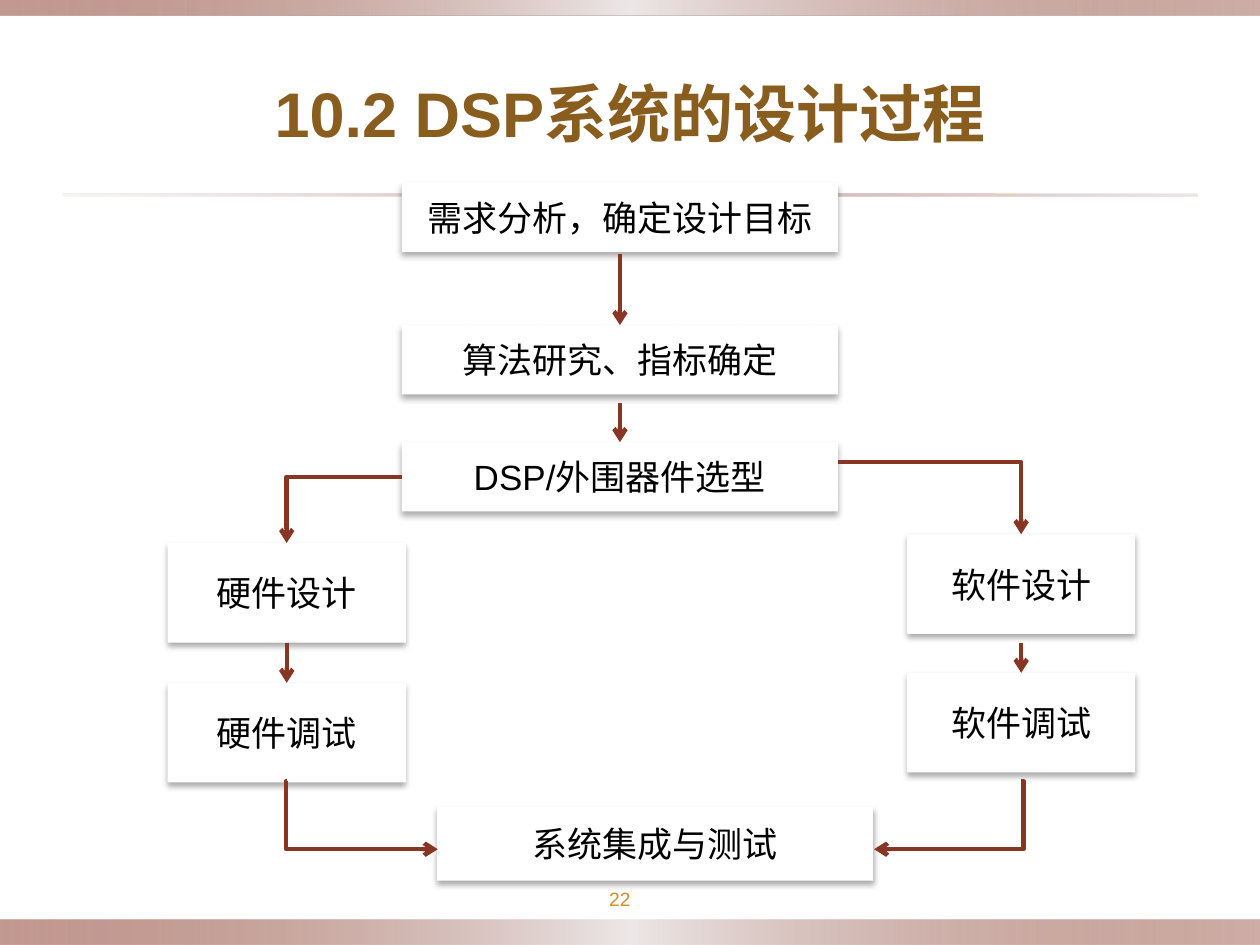
from lxml import etree
from pptx import Presentation
from pptx.dml.color import RGBColor
from pptx.enum.shapes import MSO_CONNECTOR, MSO_SHAPE
from pptx.enum.text import MSO_ANCHOR, PP_ALIGN
from pptx.oxml.ns import qn
from pptx.util import Pt

RECTANGLE = MSO_SHAPE.RECTANGLE
STRAIGHT, ELBOW = MSO_CONNECTOR.STRAIGHT, MSO_CONNECTOR.ELBOW
CENTER, MIDDLE = PP_ALIGN.CENTER, MSO_ANCHOR.MIDDLE
TOP, LEFT, BOTTOM = 0, 1, 2
COLORS = {
    "brick": "873624", "mist": "EDE8E8", "rose": "D9CECD", "white": "FFFFFF",
    "black": "000000", "title": "895D1D", "number": "D08D2C",
}


def add_child(parent, tag, **attributes):
    child = etree.SubElement(parent, qn(tag))
    for name, value in attributes.items():
        child.set(name, str(value))
    return child


def write_text(shape, text, size, color, bold=False):
    frame = shape.text_frame
    frame.word_wrap = True
    frame.vertical_anchor = MIDDLE
    paragraph = frame.paragraphs[0]
    paragraph.text = text
    paragraph.alignment = CENTER
    font = paragraph.runs[0].font
    for name, value in {"name": "Arial", "size": Pt(size), "bold": bold}.items():
        setattr(font, name, value)
    font.color.rgb = RGBColor.from_string(COLORS[color])


presentation = Presentation()
presentation.slide_width, presentation.slide_height = Pt(720), Pt(540)
slide = presentation.slides.add_slide(presentation.slide_layouts[6])
shapes = slide.shapes

band_stops = [(0, "brick", 50), (50, "mist", 100), (100, "brick", 40)]
rule_stops = [(0, "rose", 20), (50, "brick", 40), (100, "rose", 50)]
bands = [
    (0, 525.6, 720, 14.4, band_stops),
    (0, 0, 720, 8.64, band_stops),
    (36, 110.9, 648, 1.44, rule_stops),
]
for left, top, width, height, stops in bands:
    band = shapes.add_shape(RECTANGLE, Pt(left), Pt(top), Pt(width), Pt(height))
    band.shadow.inherit = False
    band.line.fill.background()
    band.fill.gradient()
    band.fill.gradient_angle = 0
    stop_list = next(band._element.iter(qn("a:gsLst")))
    for stop in list(stop_list):
        stop_list.remove(stop)
    for position, color, opacity in stops:
        stop = add_child(stop_list, "a:gs", pos=position * 1000)
        tint = add_child(stop, "a:srgbClr", val=COLORS[color])
        add_child(tint, "a:alpha", val=opacity * 1000)

page_number = shapes.add_textbox(Pt(318.2), Pt(502.6), Pt(72), Pt(22.3))
for side in ("left", "top", "right", "bottom"):
    setattr(page_number.text_frame, f"margin_{side}", Pt(3.6))
write_text(page_number, "22", 11, "number")

title = shapes.add_textbox(Pt(36), Pt(37.4), Pt(648), Pt(53.3))
write_text(title, "10.2 DSP系统的设计过程", 36, "title", True)

steps = [
    ("goals", "需求分析，确定设计目标", 229.7, 104.4, 249.1, 39.6),
    ("algorithm", "算法研究、指标确定", 229.7, 185.8, 249.1, 39.6),
    ("devices", "DSP/外围器件选型", 229.7, 252.7, 249.1, 39.6),
    ("hardware design", "硬件设计", 95.8, 310.3, 136.1, 56.9),
    ("hardware debug", "硬件调试", 95.8, 390.2, 136.1, 56.9),
    ("software design", "软件设计", 518.4, 305.3, 130.3, 56.9),
    ("software debug", "软件调试", 518.4, 384.5, 130.3, 56.9),
    ("integration", "系统集成与测试", 249.8, 460.8, 249.1, 42.5),
]
boxes = {}
for name, text, left, top, width, height in steps:
    box = shapes.add_shape(RECTANGLE, Pt(left), Pt(top), Pt(width), Pt(height))
    box.fill.solid()
    box.fill.fore_color.rgb = RGBColor.from_string(COLORS["white"])
    box.line.fill.background()
    box.shadow.inherit = False
    effects = box._element.spPr.find(qn("a:effectLst"))
    shadow = add_child(effects, "a:outerShdw", blurRad=Pt(3.5), dist=Pt(2.2),
                       dir=90 * 60000, rotWithShape=0)
    tint = add_child(shadow, "a:srgbClr", val=COLORS["black"])
    add_child(tint, "a:alpha", val=32000)
    write_text(box, text, 20, "black")
    boxes[name] = box

center_x, hardware_x, software_x = 354.25, 163.85, 583.55
arrows = [
    (STRAIGHT, center_x, 145.4, center_x, 185.8, None, ("algorithm", TOP), None),
    (STRAIGHT, center_x, 230.4, center_x, 252.7, None, ("devices", TOP), None),
    (ELBOW, 229.7, 272.5, hardware_x, 310.3,
     ("devices", LEFT), ("hardware design", TOP), None),
    (ELBOW, 478.8, 264.2, software_x, 305.3, None, ("software design", TOP), None),
    (STRAIGHT, hardware_x, 367.2, hardware_x, 390.2,
     ("hardware design", BOTTOM), ("hardware debug", TOP), None),
    (STRAIGHT, software_x, 367.2, software_x, 384.5, None, ("software debug", TOP), None),
    (ELBOW, hardware_x, 446.4, 250.2, 485.3, None, None, -400),
    (ELBOW, software_x, 446.4, 499.5, 485.3, None, None, -1500),
]
for kind, x1, y1, x2, y2, source, target, bend in arrows:
    arrow = shapes.add_connector(kind, Pt(x1), Pt(y1), Pt(x2), Pt(y2))
    if source:
        arrow.begin_connect(boxes[source[0]], source[1])
    if target:
        arrow.end_connect(boxes[target[0]], target[1])
    arrow.line.width = Pt(2.5)
    arrow.line.color.rgb = RGBColor.from_string(COLORS["brick"])
    properties = arrow._element.spPr
    add_child(properties.find(qn("a:ln")), "a:tailEnd", type="arrow")
    add_child(properties, "a:effectLst")
    geometry = properties.find(qn("a:prstGeom"))
    if bend:
        guides = geometry.find(qn("a:avLst"))
        add_child(guides, "a:gd", name="adj1", fmla=f"val {bend}")
    elif kind == ELBOW:
        geometry.set("prst", "bentConnector2")

presentation.save("out.pptx")
